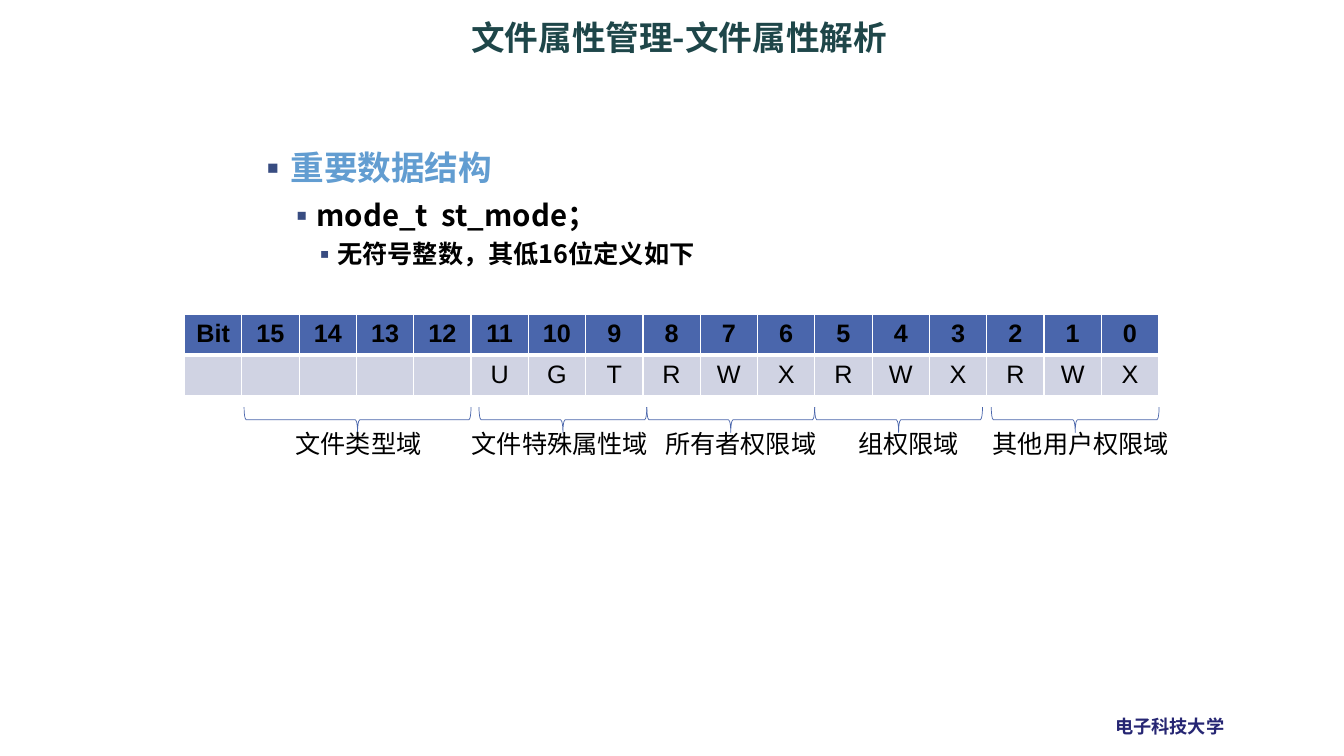
from dataclasses import dataclass

from pptx import Presentation
from pptx.dml.color import RGBColor
from pptx.enum.shapes import MSO_SHAPE
from pptx.enum.text import MSO_ANCHOR, MSO_AUTO_SIZE, PP_ALIGN
from pptx.oxml.ns import qn
from pptx.slide import Slide
from pptx.table import _Cell
from pptx.text.text import TextFrame, _Paragraph
from pptx.util import Cm, Pt
from lxml.etree import SubElement


@dataclass(frozen=True)
class Theme:
    latin: str = "Arial"
    cjk: str = "Noto Sans CJK SC"
    title: str = "1E4649"
    heading: str = "629DD1"
    bullet: str = "384C81"
    footer: str = "262673"
    accent: str = "4A66AC"
    band: str = "D0D3E3"
    black: str = "000000"
    white: str = "FFFFFF"
    large: float = 24
    medium: float = 21
    normal: float = 18
    small: float = 13


@dataclass(frozen=True)
class Bullet:
    text: str
    size: float
    color: str
    margin: float
    hanging: float
    before: float


@dataclass(frozen=True)
class Field:
    """A group of bits: brace extent and label box, in cm."""
    label: str
    brace_left: float
    brace_width: float
    label_left: float
    label_width: float


T = Theme()
BULLETS = [
    Bullet("重要数据结构", T.large, T.heading, 0.64, 0.64, 0),
    Bullet("mode_t  st_mode；", T.medium, T.black, 1.27, 0.51, 12),
    Bullet("无符号整数，其低16位定义如下", T.normal, T.black, 1.9, 0.51, 8),
]
FIELDS = [
    Field("文件类型域", 6.15, 5.72, 7.2, 3.81),
    Field("文件特殊属性域", 12.07, 4.23, 11.64, 5.08),
    Field("所有者权限域", 16.3, 4.23, 16.51, 4.45),
    Field("组权限域", 20.53, 4.23, 21.38, 4.45),
    Field("其他用户权限域", 24.98, 4.23, 24.77, 5.29),
]
BITS = ["Bit", *map(str, range(15, -1, -1))]
FLAGS = [""] * 5 + list("UGT" + "RWX" * 3)


def assign(obj: object, **values: object) -> None:
    for name, value in values.items():
        setattr(obj, name, value)


def write(p: _Paragraph, text: str, size: float, color: str,
          bold: bool = False, latin: str = T.cjk) -> None:
    r = p.add_run()
    r.text = text
    assign(r.font, size=Pt(size), bold=bold, name=latin)
    r.font.color.rgb = RGBColor.from_string(color)
    SubElement(r.font._element, qn("a:ea"), typeface=T.cjk)


def add_text(s: Slide, left: float, top: float, width: float, height: float) -> TextFrame:
    tf = s.shapes.add_textbox(Cm(left), Cm(top), Cm(width), Cm(height)).text_frame
    tf.word_wrap = True
    return tf


def add_title(s: Slide) -> None:
    title = s.shapes.title
    assign(title, left=Cm(6.93), top=Cm(0.53), width=Cm(20.37), height=Cm(1.52))
    tf = title.text_frame
    assign(tf, vertical_anchor=MSO_ANCHOR.TOP, auto_size=MSO_AUTO_SIZE.NONE, margin_top=0)
    p = tf.paragraphs[0]
    assign(p, alignment=PP_ALIGN.CENTER, line_spacing=0.9)
    write(p, "文件属性管理-文件属性解析", T.large, T.title, bold=True)


def add_bullets(s: Slide) -> None:
    body = s.placeholders[1]
    assign(body, left=Cm(6.22), top=Cm(3.63), width=Cm(22.43), height=Cm(14.33))
    tf = body.text_frame
    assign(tf, auto_size=MSO_AUTO_SIZE.NONE, vertical_anchor=MSO_ANCHOR.TOP,
           margin_top=Cm(0.24))
    for level, item in enumerate(BULLETS):
        p = tf.add_paragraph() if level else tf.paragraphs[0]
        assign(p, level=level, space_before=Pt(item.before), line_spacing=0.82)
        pPr = p._p.get_or_add_pPr()
        pPr.set("marL", str(Cm(item.margin)))
        pPr.set("indent", str(-Cm(item.hanging)))
        color = SubElement(pPr, qn("a:buClr"))
        SubElement(color, qn("a:srgbClr"), val=T.bullet)
        SubElement(pPr, qn("a:buFont"), typeface=T.cjk)
        SubElement(pPr, qn("a:buChar"), char="▪")
        write(p, item.text, item.size, item.color, bold=True)


def add_borders(cell: _Cell, bottom: float) -> None:
    tcPr = cell._tc.get_or_add_tcPr()
    for side, width in {"L": 1, "R": 1, "T": 1, "B": bottom}.items():
        ln = SubElement(tcPr, qn(f"a:ln{side}"), w=str(Pt(width)))
        fill = SubElement(ln, qn("a:solidFill"))
        SubElement(fill, qn("a:srgbClr"), val=T.white)


def add_bit_table(s: Slide) -> None:
    table = s.shapes.add_table(2, len(BITS), Cm(4.65), Cm(7.92), Cm(24.56), Cm(2.06)).table
    for row, values in enumerate((BITS, FLAGS)):
        header = row == 0
        for col, value in enumerate(values):
            cell = table.cell(row, col)
            add_borders(cell, 3 if header else 1)
            cell.fill.solid()
            cell.fill.fore_color.rgb = RGBColor.from_string(T.accent if header else T.band)
            p = cell.text_frame.paragraphs[0]
            p.alignment = PP_ALIGN.CENTER
            if value:
                write(p, value, T.normal, T.black, bold=header, latin=T.latin)


def add_field(s: Slide, field: Field) -> None:
    """Draw a downward brace under the bits, with its label."""
    depth, middle = 0.64, 10.58
    brace = s.shapes.add_shape(
        MSO_SHAPE.RIGHT_BRACE,
        Cm(field.brace_left + (field.brace_width - depth) / 2),
        Cm(middle - field.brace_width / 2), Cm(depth), Cm(field.brace_width))
    brace.rotation = 90
    brace.shadow.inherit = False
    brace.fill.background()
    brace.line.color.rgb = RGBColor.from_string(T.accent)
    brace.line.width = Pt(0.5)
    tf = add_text(s, field.label_left, 10.67, field.label_width, 1.02)
    write(tf.paragraphs[0], field.label, T.normal, T.black, latin=T.latin)


def main() -> None:
    prs = Presentation()
    assign(prs, slide_width=Cm(33.87), slide_height=Cm(19.05))
    s = prs.slides.add_slide(prs.slide_layouts[1])
    add_title(s)
    add_bullets(s)
    add_bit_table(s)
    for field in FIELDS:
        add_field(s, field)
    footer = add_text(s, 27.86, 17.91, 3.3, 0.81)
    footer.word_wrap = False
    write(footer.paragraphs[0], "电子科技大学", T.small, T.footer, bold=True)
    prs.save("out.pptx")


if __name__ == "__main__":
    main()
